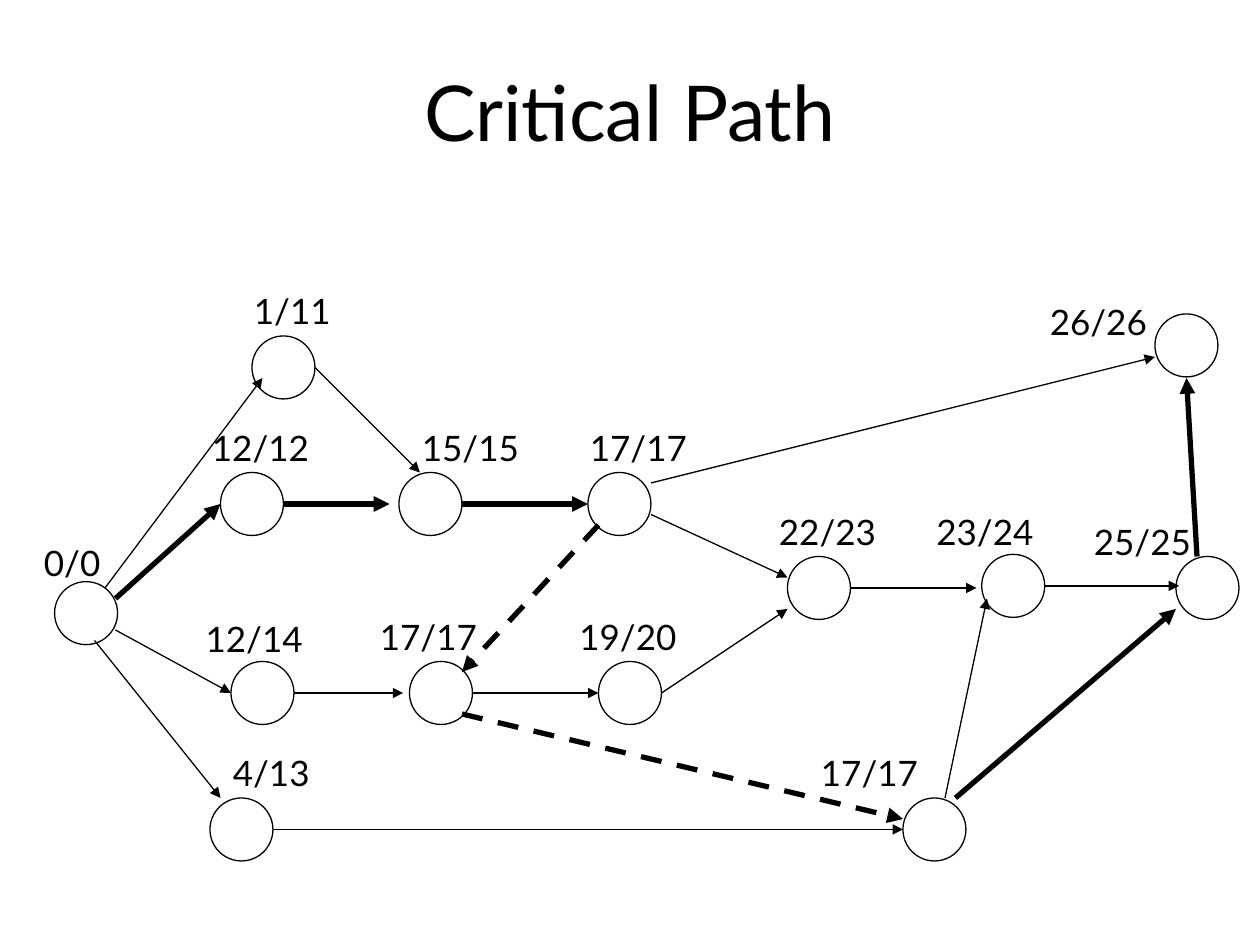
from lxml.etree import SubElement
from pptx import Presentation
from pptx.dml.color import RGBColor
from pptx.enum.dml import MSO_LINE_DASH_STYLE as Dash
from pptx.enum.shapes import MSO_CONNECTOR as Connector, MSO_SHAPE as Shape
from pptx.enum.text import MSO_ANCHOR as Anchor, PP_ALIGN as Align
from pptx.oxml.ns import qn
from pptx.util import Inches, Pt

TITLE = "Critical Path"
FONT = "Lato"
COLOURS = {"ink": "000000", "paper": "FFFFFF"}
COLUMNS, ROWS = 120, 90
CIRCLE = 6
LABEL_HEIGHT = 5.3
THIN, THICK = 0.75, 3

# label, circle (column, row), label (column, row, width)
EVENTS = [
    ("0/0", (5.2, 55.4), (3, 51, 9.7)),
    ("1/11", (24, 32), (23, 27, 10)),
    ("12/12", (21, 45), (19, 40, 12.4)),
    ("12/14", (22, 63), (18.4, 58.2, 14)),
    ("4/13", (20, 76), (21, 71, 11)),
    ("15/15", (38, 45), (39, 40, 13)),
    ("17/17", (56, 45), (55, 40, 13)),
    ("17/17", (39, 63), (35, 58, 12.5)),
    ("17/17", (86, 76), (77, 71, 14)),
    ("19/20", (57, 63), (54, 58, 13)),
    ("22/23", (75, 53), (73, 48, 14)),
    ("23/24", (93.5, 52.8), (88, 48, 12)),
    ("25/25", (112, 53), (103, 49, 12)),
    ("26/26", (110, 29.9), (98.8, 28, 13)),
]

ACTIVITIES = [
    ((10, 56), (25, 36)),
    ((11, 60), (22, 66)),
    ((9, 61), (21, 76)),
    ((30, 35), (40, 45)),
    ((28, 66), (38.4, 66)),
    ((45, 66), (57, 66)),
    ((63, 66), (75, 58)),
    ((62, 49), (75, 55)),
    ((62, 46), (110, 34)),
    ((81, 56), (93, 56)),
    ((99.5, 55.8), (112.3, 55.8)),
    ((26, 79), (86, 79)),
    ((90, 76), (94, 57)),
]
CRITICAL = [
    ((11, 57), (21, 48)),
    ((27, 48), (37.1, 48)),
    ((44, 48), (56, 48)),
    ((91, 76), (112, 58)),
    ((114, 53), (113, 36)),
]
CRITICAL_DUMMIES = [
    ((57, 50), (44, 64)),
    ((44, 68), (86, 78)),
]

presentation = Presentation()
presentation.slide_width, presentation.slide_height = Inches(10), Inches(7.5)
slide = presentation.slides.add_slide(presentation.slide_layouts[6])
slide.background.fill.solid()
slide.background.fill.fore_color.rgb = RGBColor.from_string(COLOURS["paper"])
INK = RGBColor.from_string(COLOURS["ink"])


def grid(column, row):
    return (round(presentation.slide_width * column / COLUMNS),
            round(presentation.slide_height * row / ROWS))


def add_text(text, corner, extent, size, align=Align.LEFT, anchor=Anchor.TOP):
    frame = slide.shapes.add_textbox(*grid(*corner), *grid(*extent)).text_frame
    frame.word_wrap = True
    frame.vertical_anchor = anchor
    paragraph = frame.paragraphs[0]
    paragraph.text = text
    paragraph.alignment = align
    paragraph.font.name = FONT
    paragraph.font.size = Pt(size)
    paragraph.font.color.rgb = INK


def add_arrow(start, end, width, dash=None):
    arrow = slide.shapes.add_connector(Connector.STRAIGHT, *grid(*start), *grid(*end))
    arrow.line.color.rgb = INK
    arrow.line.width = Pt(width)
    if dash:
        arrow.line.dash_style = dash
    SubElement(arrow.line._get_or_add_ln(), qn("a:tailEnd"), type="triangle")
    SubElement(arrow._element.spPr, qn("a:effectLst"))


def add_circle(corner):
    circle = slide.shapes.add_shape(Shape.OVAL, *grid(*corner), *grid(CIRCLE, CIRCLE))
    circle.shadow.inherit = False
    circle.fill.background()
    circle.line.color.rgb = INK
    circle.line.width = Pt(THIN)


add_text(TITLE, (9, 3), (102, 15), 44, Align.CENTER, Anchor.MIDDLE)

for arrows, width, dash in [(ACTIVITIES, THIN, None), (CRITICAL, THICK, None),
                            (CRITICAL_DUMMIES, THICK, Dash.DASH)]:
    for start, end in arrows:
        add_arrow(start, end, width, dash)

for label, circle_corner, (column, row, label_width) in EVENTS:
    add_circle(circle_corner)
    add_text(label, (column, row), (label_width, LABEL_HEIGHT), 20)

presentation.save("out.pptx")
